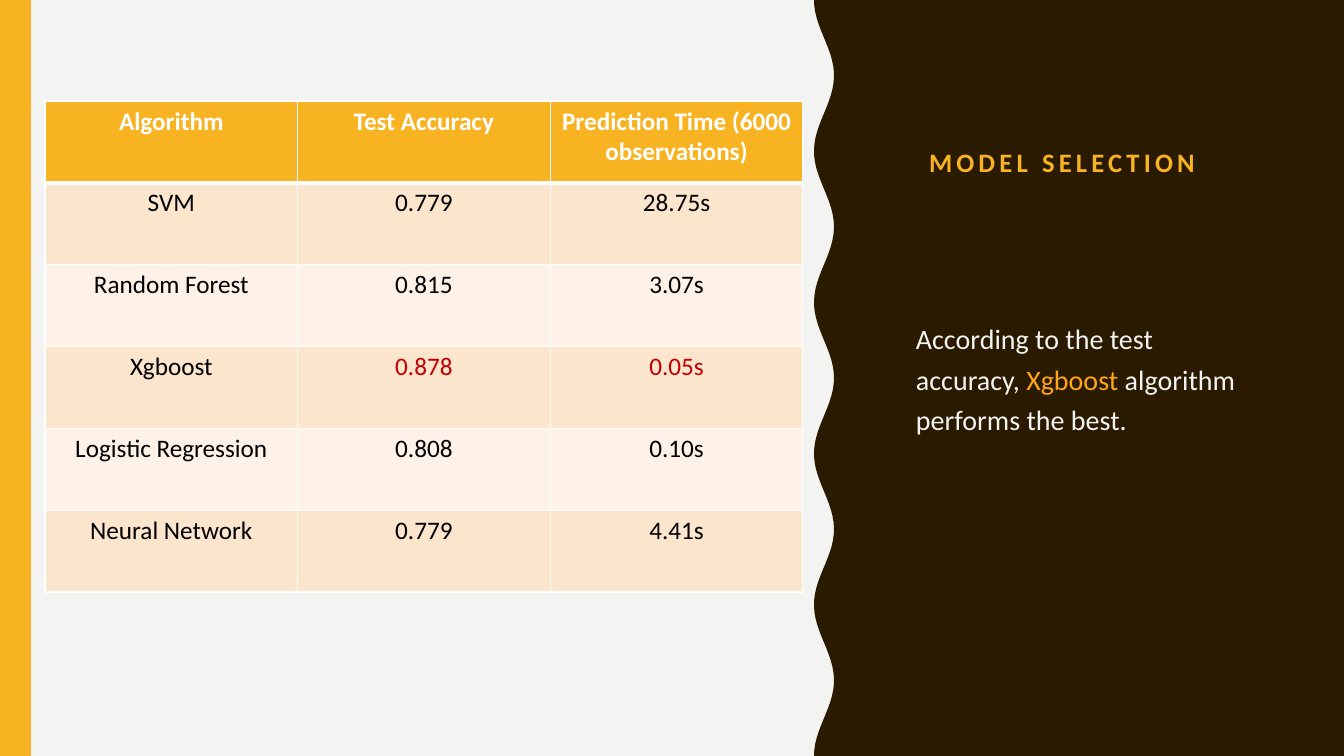
from math import cos, pi

from lxml.etree import SubElement
from pptx import Presentation
from pptx.dml.color import RGBColor
from pptx.enum.shapes import MSO_SHAPE as Shape
from pptx.enum.text import MSO_ANCHOR as Anchor, MSO_AUTO_SIZE as AutoSize, PP_ALIGN as Align
from pptx.oxml.ns import qn
from pptx.util import Emu, Pt

PX = 914400 / 100.8
SLIDE_W, SLIDE_H = 1344, 756
FONT = "Calibri"

PAPER = RGBColor(0xF3, 0xF3, 0xF2)
BROWN = RGBColor(0x2A, 0x1A, 0x00)
GOLD = RGBColor(0xF8, 0xB3, 0x23)
ORANGE = RGBColor(0xFF, 0xA6, 0x15)
PEACH = RGBColor(0xFC, 0xE5, 0xCD)
CREAM = RGBColor(0xFE, 0xF2, 0xE8)
RED = RGBColor(0xC0, 0x00, 0x00)
WHITE = RGBColor(0xFF, 0xFF, 0xFF)
BLACK = RGBColor(0x00, 0x00, 0x00)

RESULTS = [
    ("Algorithm", "Test Accuracy", "Prediction Time (6000 observations)"),
    ("SVM", "0.779", "28.75s"),
    ("Random Forest", "0.815", "3.07s"),
    ("Xgboost", "0.878", "0.05s"),
    ("Logistic Regression", "0.808", "0.10s"),
    ("Neural Network", "0.779", "4.41s"),
]
BEST_ROW = 3


def px(length):
    return Emu(round(length * PX))


def add_run(paragraph, text, size, color, bold=False):
    run = paragraph.add_run()
    run.text = text
    run.font.name = FONT
    run.font.size = Pt(size)
    run.font.bold = bold
    run.font.color.rgb = color
    return run


def paint(shape, color):
    shape.shadow.inherit = False
    shape.fill.solid()
    shape.fill.fore_color.rgb = color
    shape.line.fill.background()


def add_wavy_panel(slide, crest, trough, waves):
    middle, swing = (crest + trough) / 2, (trough - crest) / 2
    edge = [(middle - swing * cos(2 * pi * waves * y / SLIDE_H), y)
            for y in range(SLIDE_H, -1, -6)]
    builder = slide.shapes.build_freeform(px(crest), 0)
    corners = [(SLIDE_W, 0), (SLIDE_W, SLIDE_H)]
    builder.add_line_segments([(px(x), px(y)) for x, y in corners + edge])
    paint(builder.convert_to_shape(), BROWN)


def add_side_bar(slide, width):
    bar = slide.shapes.add_shape(Shape.RECTANGLE, 0, 0, px(width), px(SLIDE_H))
    paint(bar, GOLD)


def set_title(slide, text, left, top, width, height):
    title = slide.shapes.title
    title.left, title.top, title.width, title.height = map(px, (left, top, width, height))
    # Bring the title in front of the panel
    title.element.getparent().append(title.element)
    frame = title.text_frame
    frame.word_wrap = True
    frame.auto_size = AutoSize.NONE
    frame.vertical_anchor = Anchor.BOTTOM
    paragraph = frame.paragraphs[0]
    paragraph.alignment = Align.LEFT
    run = add_run(paragraph, text, 19, GOLD, bold=True)
    run.font.element.set("spc", "300") if hasattr(run.font, "element") else \
        run._r.get_or_add_rPr().set("spc", "300")


def add_conclusion(slide, parts, left, top, width, height):
    frame = slide.shapes.add_textbox(*map(px, (left, top, width, height))).text_frame
    frame.word_wrap = True
    paragraph = frame.paragraphs[0]
    paragraph.line_spacing = 1.2
    paragraph.space_before = Pt(12)
    for text, color in parts:
        add_run(paragraph, text, 20, color)


def set_borders(cell, **widths):
    properties = cell._tc.get_or_add_tcPr()
    for side in ("L", "R", "T", "B"):
        line = SubElement(properties, qn(f"a:ln{side}"), w=str(Pt(widths.get(side, 1))))
        fill = SubElement(line, qn("a:solidFill"))
        SubElement(fill, qn("a:srgbClr"), val=str(WHITE))


def fill_cell(cell, text, row, column):
    header = row == 0
    if header:
        set_borders(cell, B=3)
        background, color = GOLD, WHITE
    else:
        set_borders(cell, T=3 if row == 1 else 1)
        background = PEACH if row % 2 else CREAM
        color = RED if row == BEST_ROW and column > 0 else BLACK
    cell.fill.solid()
    cell.fill.fore_color.rgb = background
    paragraph = cell.text_frame.paragraphs[0]
    paragraph.alignment = Align.CENTER
    add_run(paragraph, text, 18, color, bold=header)


def add_results_table(slide, left, top, width, height):
    rows, columns = len(RESULTS), len(RESULTS[0])
    table = slide.shapes.add_table(
        rows, columns, *map(px, (left, top, width, height))).table
    for column in table.columns:
        column.width = px(width / columns)
    for row in table.rows:
        row.height = px(height / rows)
    for r, values in enumerate(RESULTS):
        for c, text in enumerate(values):
            fill_cell(table.cell(r, c), text, r, c)


def main():
    deck = Presentation()
    deck.slide_width, deck.slide_height = px(SLIDE_W), px(SLIDE_H)
    slide = deck.slides.add_slide(deck.slide_layouts[5])

    # Backdrop
    slide.background.fill.solid()
    slide.background.fill.fore_color.rgb = PAPER
    add_wavy_panel(slide, crest=814, trough=834, waves=5)
    add_side_bar(slide, 31)

    # Title and conclusion on the panel
    set_title(slide, "MODEL SELECTION", 919, 85, 341, 98)
    add_conclusion(slide, [
        ("According to the test accuracy, ", PAPER),
        ("Xgboost ", ORANGE),
        ("algorithm performs the best.", PAPER),
    ], 906, 310, 341, 154)

    # Comparison of the algorithms
    add_results_table(slide, 45, 101, 758, 491)

    deck.save("out.pptx")


main()
